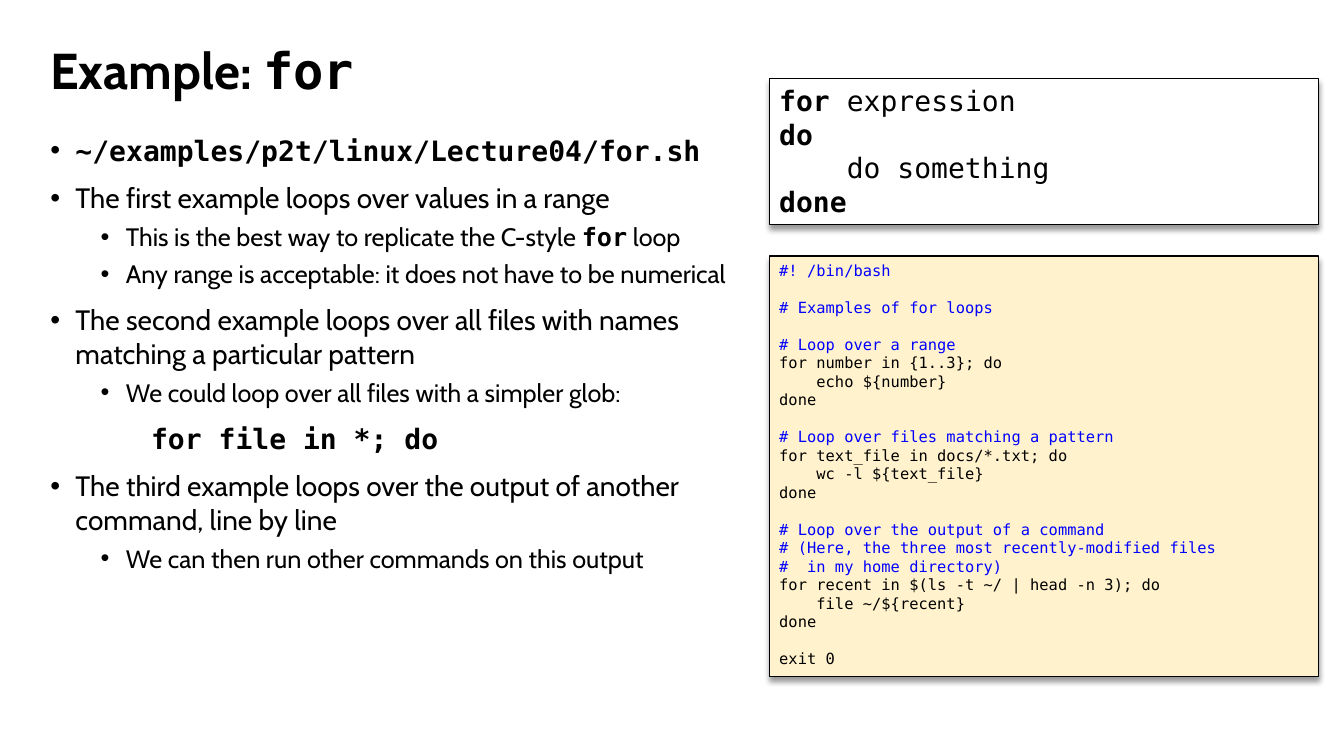
"""Build a slide on three kinds of shell for loop."""
from lxml import etree
from pptx import Presentation
from pptx.dml.color import RGBColor
from pptx.enum.shapes import MSO_SHAPE
from pptx.enum.text import MSO_ANCHOR, PP_ALIGN
from pptx.oxml import parse_xml
from pptx.oxml.ns import nsdecls, qn
from pptx.util import Inches, Pt

RECTANGLE = MSO_SHAPE.RECTANGLE
TOP, MIDDLE = MSO_ANCHOR.TOP, MSO_ANCHOR.MIDDLE
LEFT = PP_ALIGN.LEFT

COLORS = {"ink": "000000", "comment": "0000FF", "paper": "FFFFFF", "cream": "FFF2CC"}
PROSE, MONO = "Cabin", "DejaVu Sans Mono"

TITLE = [("Example: ", PROSE, True), ("for", MONO, True)]

LEVELS = {
    "point": {"size": 20, "before": 10, "margin": 0.25, "bullet": True},
    "detail": {"size": 18, "before": 5, "margin": 0.75, "bullet": True},
    "command": {"size": 20, "before": 10, "margin": 1, "bullet": False},
}

NOTES = [
    ("point", [("~/examples/p2t/linux/Lecture04/for.sh", MONO, True)]),
    ("point", [("The first example loops over values in a range", PROSE, False)]),
    ("detail", [("This is the best way to replicate the C-style ", PROSE, False),
                ("for", MONO, True), (" loop", PROSE, False)]),
    ("detail", [("Any range is acceptable: it does not have to be numerical", PROSE, False)]),
    ("point", [("The second example loops over all files with names "
                "matching a particular pattern", PROSE, False)]),
    ("detail", [("We could loop over all files with a simpler glob:", PROSE, False)]),
    ("command", [("for file in *; do", MONO, True)]),
    ("point", [("The third example loops over the output of another "
                "command, line by line", PROSE, False)]),
    ("detail", [("We can then run other commands on this output", PROSE, False)]),
]

SYNTAX = [
    [("for ", MONO, True), ("expression", MONO, False)],
    [("do", MONO, True)],
    [("    do something", MONO, False)],
    [("done", MONO, True)],
]

SCRIPT_BLOCKS = [
    ["#! /bin/bash"],
    ["# Examples of for loops"],
    ["# Loop over a range",
     "for number in {1..3}; do",
     "    echo ${number}",
     "done"],
    ["# Loop over files matching a pattern",
     "for text_file in docs/*.txt; do",
     "    wc -l ${text_file}",
     "done"],
    ["# Loop over the output of a command",
     "# (Here, the three most recently-modified files",
     "#  in my home directory)",
     "for recent in $(ls -t ~/ | head -n 3); do",
     "    file ~/${recent}",
     "done"],
    ["exit 0"],
]

WIDTH, HEIGHT = 13.33, 7.5
MARGIN = 0.4
PANEL_LEFT, PANEL_WIDTH = 7.63, 5.45
HANGING = 0.25
SYNTAX_SIZE, SCRIPT_SIZE, SCRIPT_LINE = 20, 11, 13.2

SHADOW = (
    f'<a:effectLst {nsdecls("a")}><a:outerShdw blurRad="{Pt(4)}" dist="{Pt(3)}" '
    'dir="5400000" algn="t" rotWithShape="0"><a:srgbClr val="000000">'
    '<a:alpha val="40000"/></a:srgbClr></a:outerShdw></a:effectLst>'
)


def set_frame(shape, anchor):
    """Wrap the text of a shape and return its frame."""
    frame = shape.text_frame
    for name, value in {"word_wrap": True, "vertical_anchor": anchor}.items():
        setattr(frame, name, value)
    return frame


def add_text(page, left, top, width, height, anchor):
    """Add a plain text box and return its frame."""
    box = page.shapes.add_textbox(*map(Inches, (left, top, width, height)))
    return set_frame(box, anchor)


def add_panel(page, top, height, fill):
    """Add a shadowed code panel and return its frame."""
    panel = page.shapes.add_shape(
        RECTANGLE, *map(Inches, (PANEL_LEFT, top, PANEL_WIDTH, height)))
    panel.fill.solid()
    panel.fill.fore_color.rgb = RGBColor.from_string(COLORS[fill])
    panel.line.color.rgb = RGBColor.from_string(COLORS["ink"])
    panel.line.width = Pt(0.75)
    panel.shadow.inherit = False
    properties = panel._element.spPr
    properties.replace(properties.find(qn("a:effectLst")), parse_xml(SHADOW))
    return set_frame(panel, TOP)


def next_paragraph(frame, position):
    """Return the first paragraph of a frame or a new one."""
    para = frame.paragraphs[0] if position == 0 else frame.add_paragraph()
    para.alignment = LEFT
    return para


def add_spans(para, spans, size, color="ink"):
    """Add formatted runs to a paragraph."""
    for text, face, bold in spans:
        span = para.add_run()
        span.text = text
        for name, value in {"name": face, "size": Pt(size), "bold": bold}.items():
            setattr(span.font, name, value)
        span.font.color.rgb = RGBColor.from_string(COLORS[color])


def set_indent(para, margin, bullet):
    """Set the left margin and the hanging bullet."""
    properties = para._p.get_or_add_pPr()
    properties.set("marL", str(Inches(margin)))
    properties.set("indent", str(Inches(-HANGING if bullet else 0)))
    if bullet:
        etree.SubElement(properties, qn("a:buFont")).set("typeface", "Arial")
        etree.SubElement(properties, qn("a:buChar")).set("char", "•")
    else:
        etree.SubElement(properties, qn("a:buNone"))


def main():
    """Lay out the title, the notes and the two code panels."""
    deck = Presentation()
    deck.slide_width, deck.slide_height = Inches(WIDTH), Inches(HEIGHT)
    page = deck.slides.add_slide(deck.slide_layouts[6])

    heading = next_paragraph(add_text(page, MARGIN, MARGIN, 11.5, 0.65, MIDDLE), 0)
    heading.line_spacing = 0.9
    add_spans(heading, TITLE, 36)

    notes = add_text(page, MARGIN, 1.27, 6.98, 5.48, TOP)
    for position, (level, spans) in enumerate(NOTES):
        style = LEVELS[level]
        para = next_paragraph(notes, position)
        if position:
            para.space_before = Pt(style["before"])
        set_indent(para, style["margin"], style["bullet"])
        add_spans(para, spans, style["size"])

    syntax = add_panel(page, 0.78, 1.45, "paper")
    for position, spans in enumerate(SYNTAX):
        add_spans(next_paragraph(syntax, position), spans, SYNTAX_SIZE)

    listing = add_panel(page, 2.54, 4.17, "cream")
    for block_position, block in enumerate(SCRIPT_BLOCKS):
        for line_position, line in enumerate(block):
            para = next_paragraph(listing, block_position + line_position)
            if block_position and line_position == 0:
                para.space_before = Pt(SCRIPT_LINE)
            color = "comment" if line.startswith("#") else "ink"
            add_spans(para, [(line, MONO, False)], SCRIPT_SIZE, color)

    deck.save("out.pptx")


if __name__ == "__main__":
    main()
